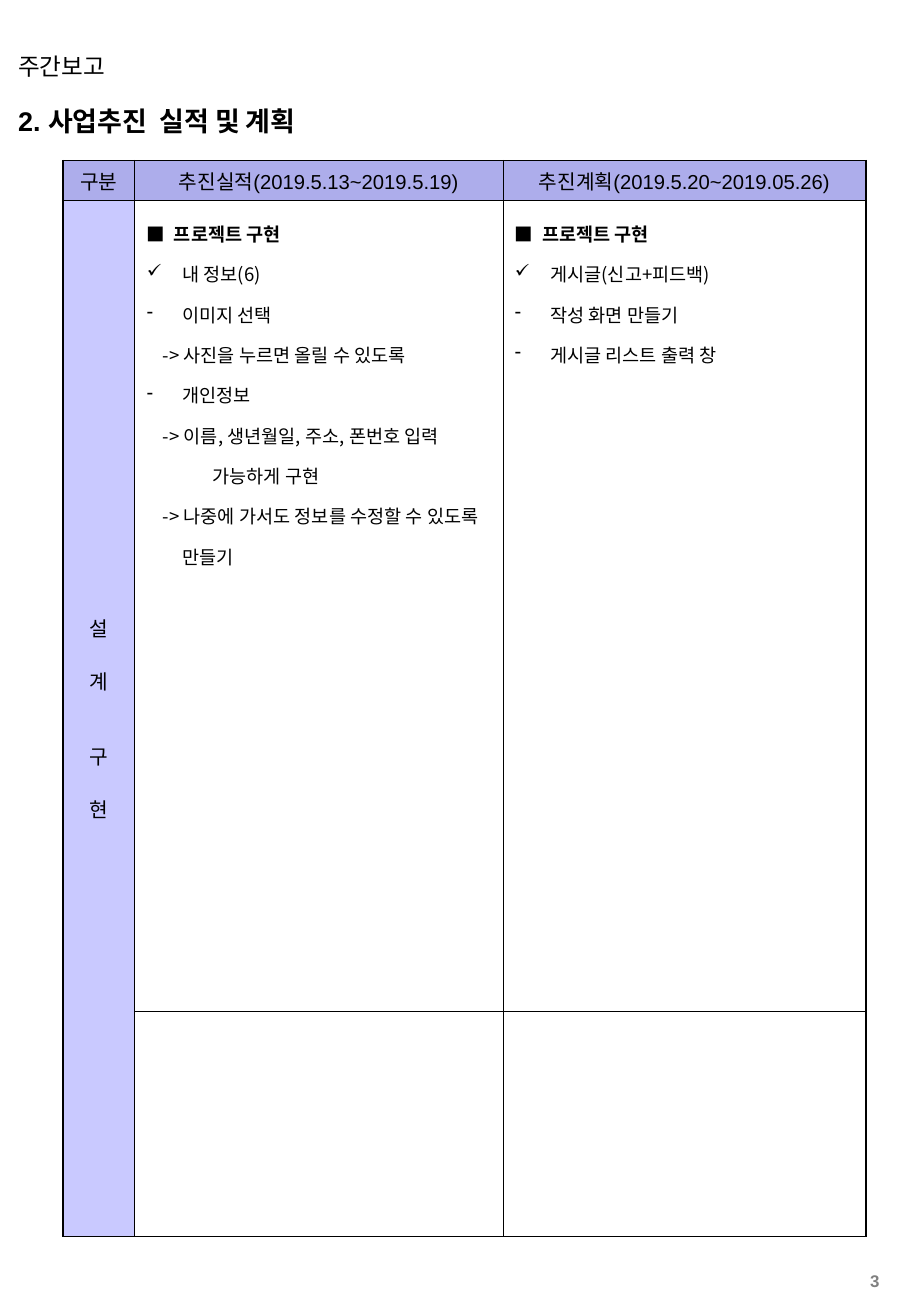
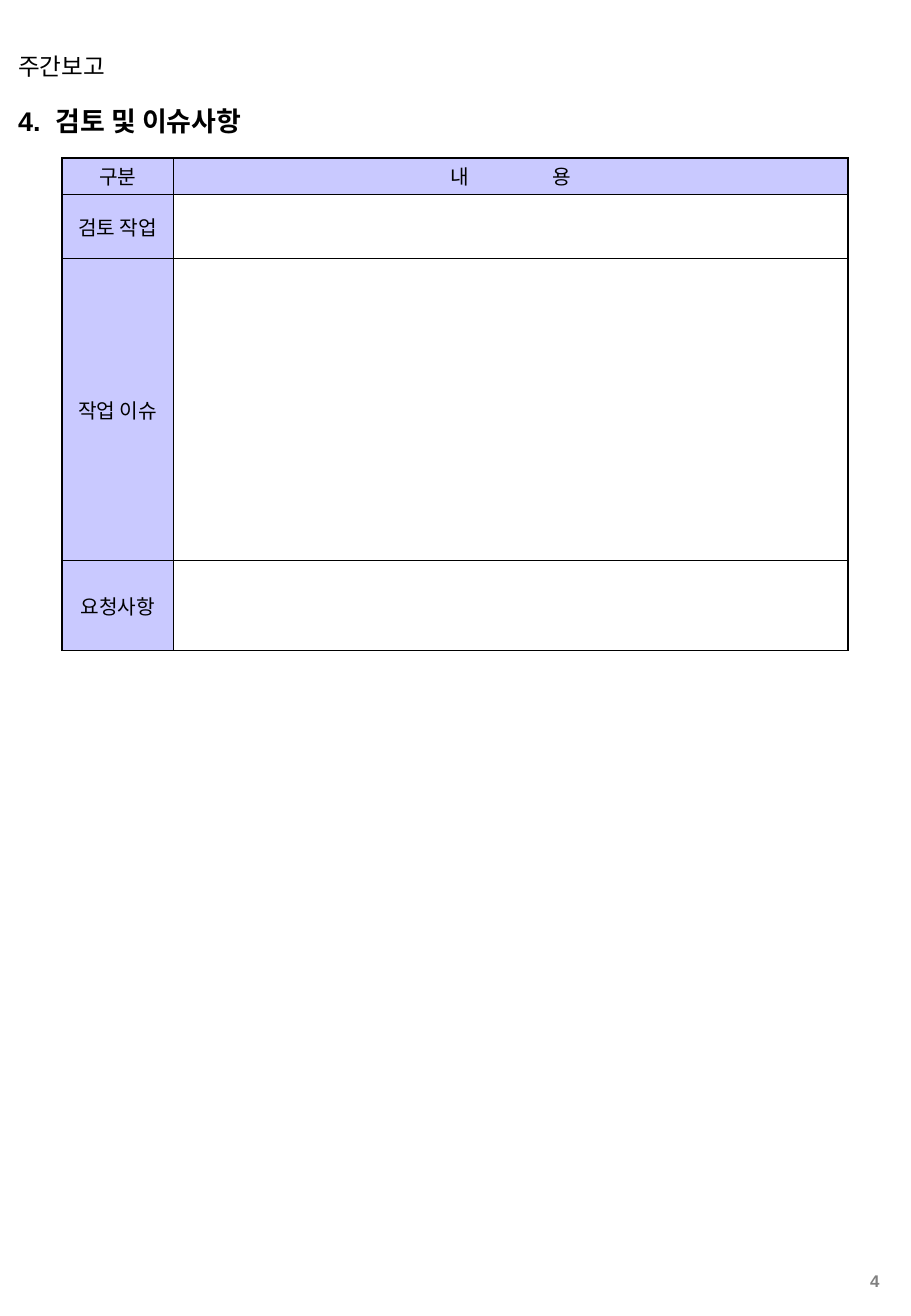
from lxml.etree import SubElement
from pptx import Presentation
from pptx.dml.color import RGBColor
from pptx.enum.text import MSO_ANCHOR, MSO_AUTO_SIZE, PP_ALIGN
from pptx.oxml.ns import qn
from pptx.util import Inches, Pt

COLORS = {
    "ink": "000000",
    "page": "808080",
    "head": "ADADEB",
    "side": "C9C9FF",
    "paper": "FFFFFF",
}
SANS = "Arial"
HANGUL = "Noto Sans CJK KR"
COLS, ROWS = 75, 108.4
THIN, THICK = 0.45, 1.08


class Report:
    def __init__(self):
        self.deck = Presentation()
        self.deck.slide_width = Inches(7.5)
        self.deck.slide_height = Inches(10.84)
        self.slide = None

    def wide(self, cols):
        return round(self.deck.slide_width * cols / COLS)

    def high(self, rows):
        return round(self.deck.slide_height * rows / ROWS)

    def area(self, col, row, cols, rows):
        return self.wide(col), self.high(row), self.wide(cols), self.high(rows)

    def run(self, para, text, size, bold=False, color="ink", font=SANS, track=0):
        run = para.add_run()
        run.text = text
        run.font.size = Pt(size)
        run.font.bold = bold
        run.font.name = font
        run.font.color.rgb = RGBColor.from_string(COLORS[color])
        props = run.font._element
        SubElement(props, qn("a:ea")).set("typeface", HANGUL)
        if track:
            props.set("spc", str(round(track * 100)))

    def page(self, title, number):
        self.slide = self.deck.slides.add_slide(self.deck.slide_layouts[5])
        self.text("주간보고", (0.5, 3.8, 59.5, 3.4), 14)
        self.text(number, (67.8, 104.2, 5.6, 2.4), 10, True, "page", PP_ALIGN.RIGHT)
        self.title(title)

    def title(self, text):
        shape = self.slide.shapes.title
        shape.left, shape.top, shape.width, shape.height = self.area(0.5, 8.1, 53.6, 3.7)
        self.fill(shape.text_frame, text, 16, True)

    def text(self, text, area, size, bold=False, color="ink", align=PP_ALIGN.LEFT):
        box = self.slide.shapes.add_textbox(*self.area(*area))
        self.fill(box.text_frame, text, size, bold, color, align)

    def fill(self, frame, text, size, bold=False, color="ink", align=PP_ALIGN.LEFT):
        frame.word_wrap = True
        frame.auto_size = MSO_AUTO_SIZE.NONE
        frame.vertical_anchor = MSO_ANCHOR.TOP
        para = frame.paragraphs[0]
        para.alignment = align
        self.run(para, text, size, bold, color)

    def table(self, col, row, widths, heights, cap, base):
        area = self.area(col, row, sum(widths), sum(heights))
        table = self.slide.shapes.add_table(len(heights), len(widths), *area).table
        table.first_row = table.horz_banding = False
        for part, width in zip(table.columns, widths):
            part.width = self.wide(width)
        for part, height in zip(table.rows, heights):
            part.height = self.high(height)
        right, last = len(widths) - 1, len(heights) - 1
        for y in range(last + 1):
            for x in range(right + 1):
                cell = table.cell(y, x)
                self.edge(cell, {
                    "L": THIN if x else THICK,
                    "R": THICK if x == right else THIN,
                    "T": THIN if y else cap,
                    "B": base if y == last else THIN,
                })
                self.paint(cell, "paper" if x and y else "side")
        return table

    def edge(self, cell, lines):
        props = cell._tc.get_or_add_tcPr()
        for side, width in lines.items():
            line = SubElement(props, qn("a:ln" + side), w=str(Pt(width)))
            solid = SubElement(line, qn("a:solidFill"))
            SubElement(solid, qn("a:srgbClr"), val=COLORS["ink"])

    def paint(self, cell, color):
        cell.fill.solid()
        cell.fill.fore_color.rgb = RGBColor.from_string(COLORS[color])

    def label(self, cell, *parts):
        cell.vertical_anchor = MSO_ANCHOR.MIDDLE
        cell.margin_left = cell.margin_right = 0
        cell.margin_top = cell.margin_bottom = 0
        para = cell.text_frame.paragraphs[0]
        para.alignment = PP_ALIGN.CENTER
        for text, track in parts:
            self.run(para, text, 12, track=track)

    def stack(self, cell, lines):
        self.label(cell, (lines[0][0], 0))
        for text, gap in lines[1:]:
            para = cell.text_frame.add_paragraph()
            para.alignment = PP_ALIGN.CENTER
            para.space_before = Pt(gap)
            self.run(para, text, 12)

    def notes(self, cell, lines):
        frame = cell.text_frame
        for index, (kind, text) in enumerate(lines):
            para = frame.add_paragraph() if index else frame.paragraphs[0]
            para.line_spacing = 1.5
            left, first, mark = KINDS[kind]
            props = para._p.get_or_add_pPr()
            props.set("marL", str(Inches(left)))
            props.set("indent", str(Inches(first)))
            if mark:
                SubElement(props, qn("a:buChar"), char=mark)
            else:
                SubElement(props, qn("a:buNone"))
            self.run(para, text, 11, kind == "head", font=HANGUL)


KINDS = {
    "head": (0.29, -0.29, None),
    "check": (0.29, -0.29, "✓"),
    "dash": (0.29, -0.29, "-"),
    "arrow": (0.29, -0.16, None),
    "more": (0.54, 0, None),
}
DONE = [
    ("head", "■  프로젝트 구현"),
    ("check", "내 정보(6)"),
    ("dash", "이미지 선택"),
    ("arrow", "-> 사진을 누르면 올릴 수 있도록"),
    ("dash", "개인정보"),
    ("arrow", "-> 이름, 생년월일, 주소, 폰번호 입력"),
    ("more", "가능하게 구현"),
    ("arrow", "-> 나중에 가서도 정보를 수정할 수 있도록 만들기"),
]
PLAN = [
    ("head", "■  프로젝트 구현"),
    ("check", "게시글(신고+피드백)"),
    ("dash", "작성 화면 만들기"),
    ("dash", "게시글 리스트 출력 창"),
]


def status(report):
    report.page("2. 사업추진  실적 및 계획", "3")
    table = report.table(5.2, 13.2, [5.9, 30.3, 29.9], [3.3, 66.8, 18.5], THIN, THIN)
    heads = ["구분", "추진실적(2019.5.13~2019.5.19)", "추진계획(2019.5.20~2019.05.26)"]
    for x, text in enumerate(heads):
        report.paint(table.cell(0, x), "head")
        report.label(table.cell(0, x), (text, 0))
    table.cell(1, 0).merge(table.cell(2, 0))
    report.stack(table.cell(1, 0), [("설", 0), ("계", 14), ("구", 27), ("현", 14)])
    report.notes(table.cell(1, 1), DONE)
    report.notes(table.cell(1, 2), PLAN)


def issues(report):
    report.page("4.  검토 및 이슈사항", "4")
    table = report.table(5.1, 13, [9.2, 55.5], [3, 5.3, 24.9, 7.4], THICK, THICK)
    for y, text in enumerate(["구분", "검토 작업", "작업 이슈", "요청사항"]):
        report.label(table.cell(y, 0), (text, 0))
    report.label(table.cell(0, 1), ("내 ", 23.5), ("용", 0))


def main():
    report = Report()
    status(report)
    issues(report)
    report.deck.save("out.pptx")


if __name__ == "__main__":
    main()
